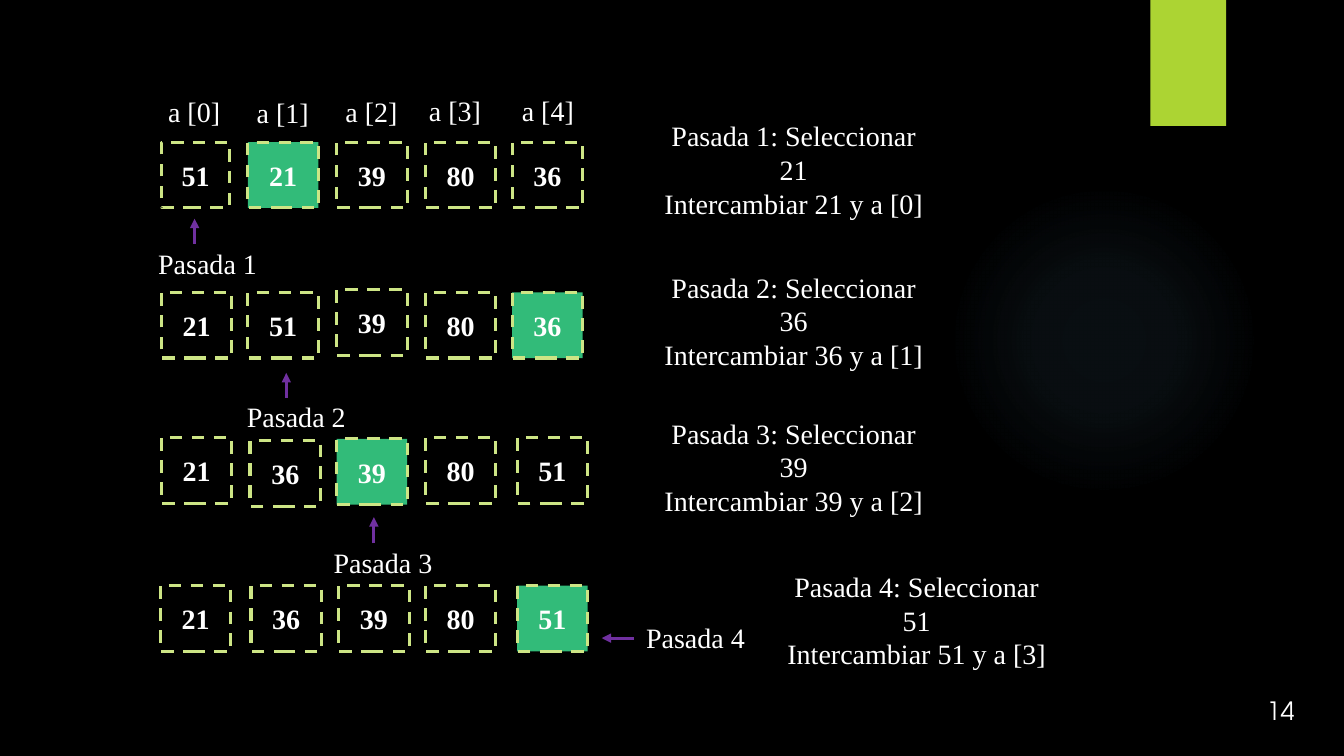
from dataclasses import dataclass

import pptx
import pptx.dml.color
import pptx.enum.dml
import pptx.enum.shapes
import pptx.enum.text
import pptx.oxml
import pptx.oxml.ns
import pptx.util

Pt = pptx.util.Pt
SHAPES = pptx.enum.shapes.MSO_SHAPE


@dataclass(frozen=True)
class Theme:
    background: str = "000000"
    text: str = "FFFFFF"
    tab: str = "ACD433"
    border: str = "CDE585"
    selected: str = "32BB79"
    arrow: str = "7030A0"
    glow: str = "7AC4F0"
    font: str = "Times New Roman"
    number_font: str = "TeX Gyre Adventor"
    body_size: float = 20
    number_size: float = 18
    stroke: float = 2.25


@dataclass(frozen=True)
class Cell:
    """One array element; drop moves it below the top of its row."""
    value: int
    left: float
    drop: float = 0
    width: float = 50.4


@dataclass(frozen=True)
class Pass:
    top: float
    cells: tuple
    selected: int
    arrow: tuple
    label: tuple
    note: tuple


THEME = Theme()
CELL_HEIGHT = 47

INDEX_LABELS = ((110.2, 65.5), (173.5, 66.2), (236.9, 65.5), (296.6, 64.8), (362.9, 64.8))

PASSES = (
    Pass(101.5, (Cell(51, 115.2, width=49), Cell(21, 177.1), Cell(39, 240.5),
                 Cell(80, 303.8), Cell(36, 365.8)),
         1, (139, 174.2, 139, 156.2), (104.4, 175.7), (463.7, 89.3)),
    Pass(208.8, (Cell(21, 115.2), Cell(51, 177.1), Cell(39, 240.5, drop=-2),
                 Cell(80, 303.8), Cell(36, 365.8)),
         4, (204.5, 284.4, 204.5, 266.4), (167.8, 284.4), (463.7, 197.3)),
    Pass(312.5, (Cell(21, 115.2), Cell(36, 178.6, drop=2.2), Cell(39, 240.5, drop=1),
                 Cell(80, 303.8), Cell(51, 369.4)),
         2, (267.1, 388.1, 267.1, 369.4), (229.7, 388.8), (463.7, 301.7)),
    Pass(418.3, (Cell(21, 114.5), Cell(36, 179.3), Cell(39, 241.9),
                 Cell(80, 303.8), Cell(51, 369.4)),
         4, (452.9, 455.8, 429.8, 455.8), (452.9, 442.8), (551.5, 411.1)),
)


def color(value):
    return pptx.dml.color.RGBColor.from_string(value)


def write(shape, lines, size=THEME.body_size, font=THEME.font, bold=False):
    """Fill a shape with centred paragraphs, one for each line."""
    frame = shape.text_frame
    frame.word_wrap = True
    frame.vertical_anchor = pptx.enum.text.MSO_ANCHOR.MIDDLE
    frame.text = "\n".join(lines)
    for para in frame.paragraphs:
        para.alignment = pptx.enum.text.PP_ALIGN.CENTER
        para.font.name = font
        para.font.size = Pt(size)
        para.font.bold = bold
        para.font.color.rgb = color(THEME.text)


def add_text(page, left, top, width, height, *lines, **style):
    box = page.shapes.add_textbox(Pt(left), Pt(top), Pt(width), Pt(height))
    write(box, lines, **style)


def add_block(page, kind, left, top, width, height, fill=None):
    """Add a shape without outline or shadow, and without fill if none is given."""
    block = page.shapes.add_shape(kind, Pt(left), Pt(top), Pt(width), Pt(height))
    block.shadow.inherit = False
    block.line.fill.background()
    if fill:
        block.fill.solid()
        block.fill.fore_color.rgb = color(fill)
    else:
        block.fill.background()
    return block


def add_glow(page):
    glow = add_block(page, SHAPES.OVAL, 677.5, 131.8, 221.8, 221.8)
    stops = "".join(
        f'<a:gs pos="{position}000"><a:srgbClr val="{THEME.glow}">'
        f'<a:alpha val="{opacity}000"/></a:srgbClr></a:gs>'
        for position, opacity in ((0, 7), (36, 6), (69, 0)))
    gradient = pptx.oxml.parse_xml(
        f'<a:gradFill {pptx.oxml.ns.nsdecls("a")}><a:gsLst>{stops}</a:gsLst>'
        '<a:path path="circle"><a:fillToRect l="50000" t="50000" r="50000" b="50000"/>'
        '</a:path></a:gradFill>')
    properties = glow.element.spPr
    properties.replace(properties.find(pptx.oxml.ns.qn("a:noFill")), gradient)


def add_cell(page, cell, top, selected):
    box = add_block(page, SHAPES.RECTANGLE, cell.left, top + cell.drop, cell.width,
                    CELL_HEIGHT, THEME.selected if selected else None)
    box.line.color.rgb = color(THEME.border)
    box.line.width = Pt(THEME.stroke)
    box.line.dash_style = pptx.enum.dml.MSO_LINE.DASH
    write(box, [str(cell.value)], bold=True)


def add_arrow(page, *ends):
    arrow = page.shapes.add_connector(
        pptx.enum.shapes.MSO_CONNECTOR.STRAIGHT, *(Pt(end) for end in ends))
    arrow.line.color.rgb = color(THEME.arrow)
    arrow.line.width = Pt(THEME.stroke)
    namespace = pptx.oxml.ns.nsdecls("a")
    arrow.line._get_or_add_ln().append(
        pptx.oxml.parse_xml(f'<a:tailEnd {namespace} type="triangle"/>'))
    arrow.element.spPr.append(pptx.oxml.parse_xml(f"<a:effectLst {namespace}/>"))


def add_pass(page, index, step):
    for position, cell in enumerate(step.cells):
        add_cell(page, cell, step.top, position == step.selected)
    add_arrow(page, *step.arrow)
    name = f"Pasada {index + 1}"
    add_text(page, *step.label, 87.8, 25.2, name)
    value = step.cells[step.selected].value
    add_text(page, *step.note, 206.6, 63.4, f"{name}: Seleccionar {value}",
             f"Intercambiar {value} y a [{index}]")


def main():
    deck = pptx.Presentation()
    deck.slide_width, deck.slide_height = Pt(960), Pt(540)
    page = deck.slides.add_slide(deck.slide_layouts[6])
    page.background.fill.solid()
    page.background.fill.fore_color.rgb = color(THEME.background)
    add_glow(page)
    add_block(page, SHAPES.RECTANGLE, 821.8, 0, 54, 90, THEME.tab)
    for index, (left, top) in enumerate(INDEX_LABELS):
        add_text(page, left, top, 56.9, 28.1, f"a [{index}]")
    for index, step in enumerate(PASSES):
        add_pass(page, index, step)
    add_text(page, 885.6, 490.3, 58.3, 34.6, "14",
             size=THEME.number_size, font=THEME.number_font)
    deck.save("out.pptx")


if __name__ == "__main__":
    main()
